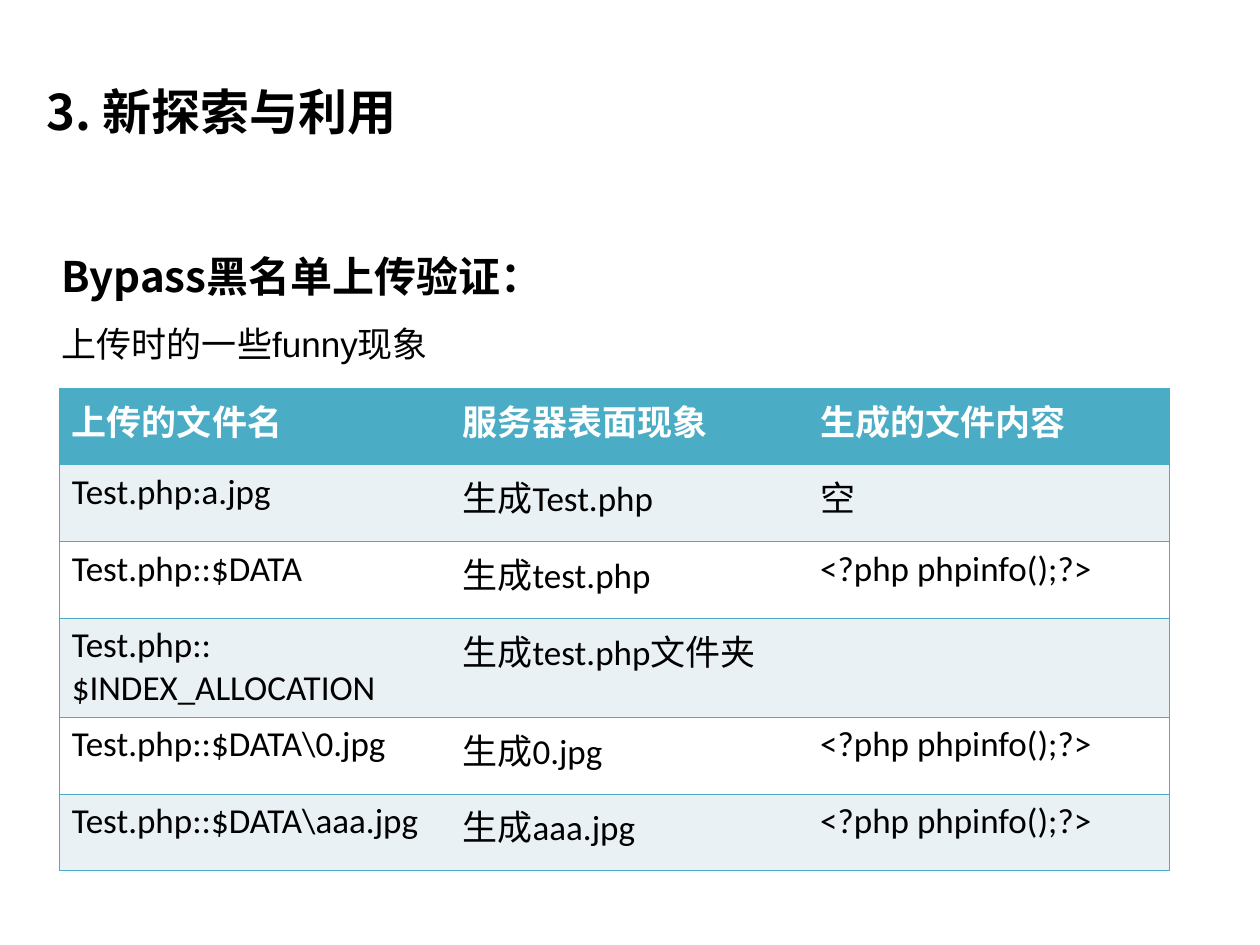
from lxml import etree
from pptx import Presentation
from pptx.dml.color import RGBColor
from pptx.enum.text import MSO_ANCHOR, MSO_AUTO_SIZE, PP_ALIGN
from pptx.oxml.ns import qn
from pptx.util import Inches, Pt

TOP, LEFT = MSO_ANCHOR.TOP, PP_ALIGN.LEFT
FIXED, GROW = MSO_AUTO_SIZE.NONE, MSO_AUTO_SIZE.SHAPE_TO_FIT_TEXT
UNIT = Inches(0.1)  # grid of 100 columns by 75 rows
HEX = {"ink": "000000", "head": "4BACC6", "band": "E9F1F5", "plain": "FFFFFF"}
CJK = "Noto Sans CJK SC"
EDGE = 0.45

LINES = [
    ("Bypass黑名单上传验证：", {"size": Pt(24), "name": CJK, "bold": True}),
    ("上传时的一些funny现象", {"size": Pt(20), "name": "Arial", "bold": False}),
]
PHP = "<?php phpinfo();?>"
ROWS = [
    ("上传的文件名", "服务器表面现象", "生成的文件内容"),
    ("Test.php:a.jpg", "生成Test.php", "空"),
    ("Test.php::$DATA", "生成test.php", PHP),
    ("Test.php::$INDEX_ALLOCATION", "生成test.php文件夹", ""),
    ("Test.php::$DATA\\0.jpg", "生成0.jpg", PHP),
    ("Test.php::$DATA\\aaa.jpg", "生成aaa.jpg", PHP),
]
COLS = [31, 28.4, 28.7]
TALL = [6.1, 6.1, 6.1, 7.9, 6.1, 6.1]


def grid(box):
    return [round(n * UNIT) for n in box]


def put(shape, box):
    shape.left, shape.top, shape.width, shape.height = grid(box)


def style(font, form, tone):
    for key, val in form.items():
        setattr(font, key, val)
    font.color.rgb = RGBColor.from_string(HEX[tone])


def title(slide, box):
    shape = slide.shapes.title
    put(shape, box)
    frame = shape.text_frame
    frame.vertical_anchor, frame.auto_size = TOP, FIXED
    para = frame.paragraphs[0]
    para.alignment = LEFT
    run = para.add_run()
    run.text = "3. 新探索与利用"
    style(run.font, {"size": Pt(28), "name": CJK, "bold": True}, "ink")


def body(slide, box):
    shape = slide.placeholders[1]
    put(shape, box)
    frame = shape.text_frame
    frame.vertical_anchor, frame.auto_size = TOP, GROW
    for i, (text, form) in enumerate(LINES):
        para = frame.add_paragraph() if i else frame.paragraphs[0]
        para.line_spacing, para.space_before = 1.5, Pt(0)
        # Hanging indent without a bullet
        props = para._p.get_or_add_pPr()
        props.set("marL", str(Inches(0.31)))
        props.set("indent", str(-Inches(0.31)))
        etree.SubElement(props, qn("a:buNone"))
        run = para.add_run()
        run.text = text
        style(run.font, form, "ink")


def border(cell, sides):
    props = cell._tc.get_or_add_tcPr()
    for side in "LRTB":
        line = etree.SubElement(props, qn("a:ln" + side), w=str(Pt(EDGE)))
        if side in sides:
            fill = etree.SubElement(line, qn("a:solidFill"))
            etree.SubElement(fill, qn("a:srgbClr"), val=HEX["head"])
        else:
            etree.SubElement(line, qn("a:noFill"))


def table(slide, box):
    grid_box = grid(box)
    tab = slide.shapes.add_table(len(ROWS), len(COLS), *grid_box).table
    tab.horz_banding = False
    for col, part in zip(tab.columns, COLS):
        col.width = round(grid_box[2] * part / sum(COLS))
    for row, part in zip(tab.rows, TALL):
        row.height = round(grid_box[3] * part / sum(TALL))
    for r, row in enumerate(ROWS):
        back = "band" if r % 2 else "plain" if r else "head"
        for c, text in enumerate(row):
            cell = tab.cell(r, c)
            # Rules between rows, none between columns
            border(cell, "TB" + ("L", "", "R")[c])
            cell.fill.solid()
            cell.fill.fore_color.rgb = RGBColor.from_string(HEX[back])
            if text:
                para = cell.text_frame.paragraphs[0]
                para.space_before = Pt(5)
                run = para.add_run()
                run.text = text
                form = {"size": Pt(20), "name": "Calibri", "bold": r == 0}
                style(run.font, form, "ink" if r else "plain")


def main():
    deck = Presentation()
    deck.slide_width, deck.slide_height = 100 * UNIT, 75 * UNIT
    slide = deck.slides.add_slide(deck.slide_layouts[1])
    title(slide, (2.7, 6, 90, 9.3))
    body(slide, (3.9, 17.4, 90.8, 17))
    table(slide, (4.7, 30.8, 88.1, 38.3))
    deck.save("out.pptx")


if __name__ == "__main__":
    main()
